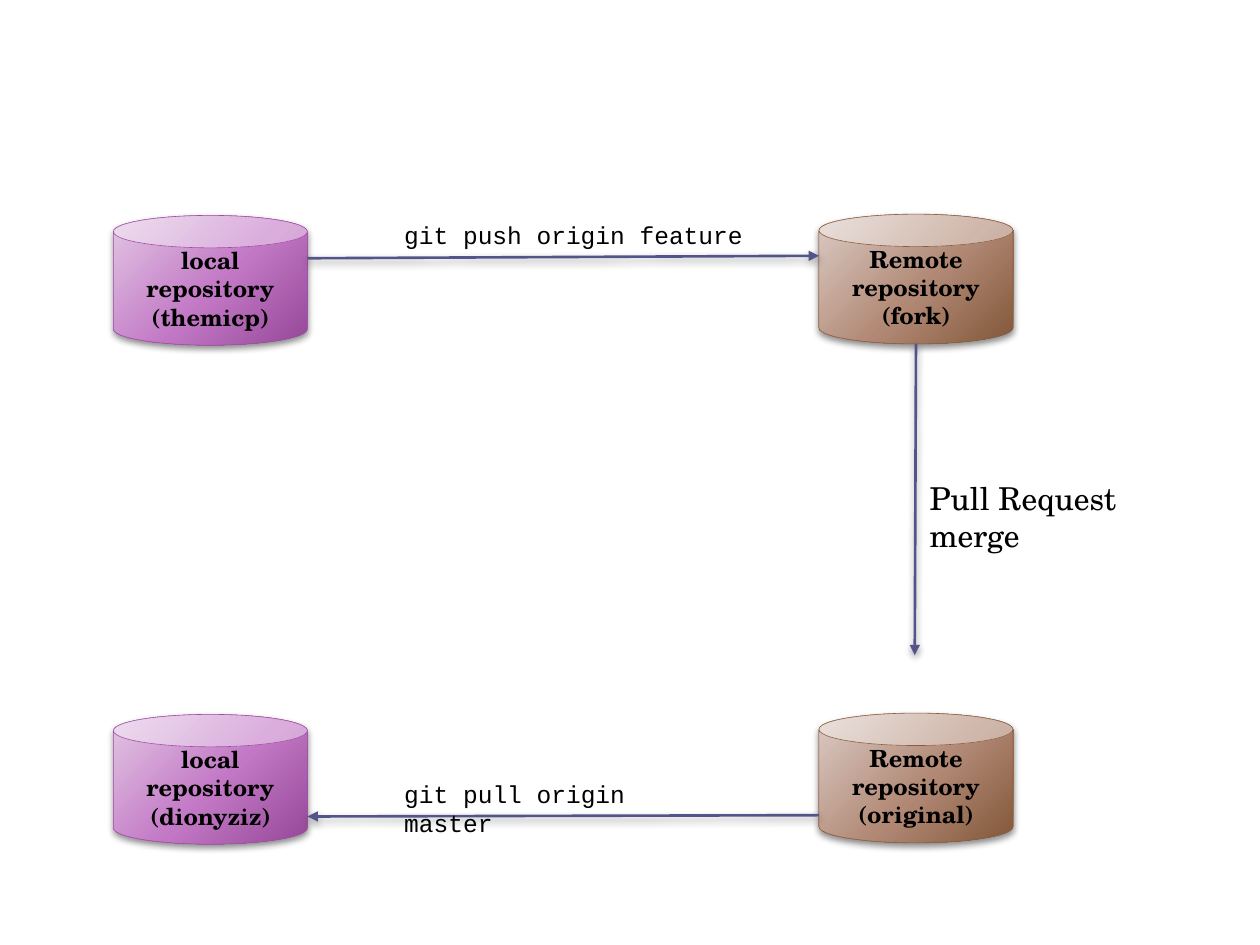
from dataclasses import dataclass

from lxml import etree
from pptx import Presentation
from pptx.dml.color import RGBColor
from pptx.enum.shapes import MSO_CONNECTOR, MSO_SHAPE
from pptx.enum.text import MSO_ANCHOR, PP_ALIGN
from pptx.oxml import parse_xml
from pptx.oxml.ns import nsdecls, qn
from pptx.util import Inches, Pt

CAN = MSO_SHAPE.CAN
STRAIGHT = MSO_CONNECTOR.STRAIGHT
CENTER, LEFT = PP_ALIGN.CENTER, PP_ALIGN.LEFT
MIDDLE, TOP = MSO_ANCHOR.MIDDLE, MSO_ANCHOR.TOP


@dataclass(frozen=True)
class Palette:
    gradient: tuple
    outline: str


@dataclass(frozen=True)
class Theme:
    local: Palette = Palette(("E2C6E3", "C277C5", "954898"), "A04DA3")
    remote: Palette = Palette(("DBCCC6", "B18874", "825739"), "8B5D3D")
    stops: tuple = (0, 55, 100)
    arrow: str = "53548A"
    text: str = "000000"
    serif: str = "TeX Gyre Schola"
    mono: str = "Courier New"
    repository_size: float = 13.5
    command_size: float = 14
    note_size: float = 18
    outline_width: float = 0.35
    arrow_width: float = 1.5


class Diagram:
    def __init__(self, slide, theme):
        self.slide = slide
        self.theme = theme

    def add_text(self, shape, lines, font_name, size, bold=False, align=LEFT, anchor=TOP):
        frame = shape.text_frame
        frame.word_wrap = True
        frame.vertical_anchor = anchor
        for index, line in enumerate(lines):
            paragraph = frame.add_paragraph() if index else frame.paragraphs[0]
            paragraph.alignment = align
            run = paragraph.add_run()
            run.text = line
            run.font.name = font_name
            run.font.size = Pt(size)
            run.font.bold = bold
            run.font.color.rgb = RGBColor.from_string(self.theme.text)

    def add_shadow(self, shape, opacity, blur):
        shape._element.spPr.append(parse_xml(
            f'<a:effectLst {nsdecls("a")}>'
            f'<a:outerShdw blurRad="{Pt(blur)}" dist="{Pt(2)}" dir="5400000" rotWithShape="0">'
            f'<a:srgbClr val="000000"><a:alpha val="{opacity * 1000}"/></a:srgbClr>'
            '</a:outerShdw></a:effectLst>'))

    def add_gradient(self, shape, colors):
        stops = "".join(
            f'<a:gs pos="{stop * 1000}"><a:srgbClr val="{color}"/></a:gs>'
            for stop, color in zip(self.theme.stops, colors))
        gradient = parse_xml(
            f'<a:gradFill {nsdecls("a")} rotWithShape="1"><a:gsLst>{stops}</a:gsLst>'
            '<a:path path="circle"><a:fillToRect l="100000" t="0" r="280000" b="280000"/>'
            '</a:path></a:gradFill>')
        shape._element.spPr.find(qn("a:prstGeom")).addnext(gradient)

    def add_repository(self, left, top, lines, palette):
        shape = self.slide.shapes.add_shape(
            CAN, Inches(left), Inches(top), Inches(1.54), Inches(1.03))
        self.add_gradient(shape, palette.gradient)
        shape.line.color.rgb = RGBColor.from_string(palette.outline)
        shape.line.width = Pt(self.theme.outline_width)
        self.add_shadow(shape, 45, 4)
        self.add_text(shape, lines, self.theme.serif, self.theme.repository_size,
                      bold=True, align=CENTER, anchor=MIDDLE)

    def add_arrow(self, start, end):
        connector = self.slide.shapes.add_connector(
            STRAIGHT, *(Inches(value) for value in start + end))
        connector.line.color.rgb = RGBColor.from_string(self.theme.arrow)
        connector.line.width = Pt(self.theme.arrow_width)
        line = connector._element.spPr.find(qn("a:ln"))
        etree.SubElement(line, qn("a:tailEnd"), type="triangle")
        self.add_shadow(connector, 40, 4.1)

    def add_label(self, left, top, width, height, text, font_name, size):
        box = self.slide.shapes.add_textbox(
            Inches(left), Inches(top), Inches(width), Inches(height))
        self.add_text(box, [text], font_name, size)


def main():
    presentation = Presentation()
    presentation.slide_width, presentation.slide_height = Inches(10), Inches(7.5)
    slide = presentation.slides.add_slide(presentation.slide_layouts[6])
    theme = Theme()
    diagram = Diagram(slide, theme)

    # Repositories: one row for the fork, one for the upstream project
    for top, owner, role in ((1.7, "themicp", "fork"), (5.66, "dionyziz", "original")):
        diagram.add_repository(
            0.9, top + 0.01, ["local", "repository", f"({owner})"], theme.local)
        diagram.add_repository(
            6.5, top, ["Remote repository", f"({role})"], theme.remote)

    # Push, pull and merge arrows
    diagram.add_arrow((2.44, 2.05), (6.5, 2.03))
    diagram.add_arrow((6.5, 6.47), (2.44, 6.48))
    diagram.add_arrow((7.27, 2.73), (7.26, 5.2))

    # Arrow labels
    diagram.add_label(3.11, 1.7, 3.17, 0.34, "git push origin feature",
                      theme.mono, theme.command_size)
    diagram.add_label(3.11, 6.13, 2.59, 0.34, "git pull origin master",
                      theme.mono, theme.command_size)
    diagram.add_label(7.28, 3.75, 2.18, 0.4, "Pull Request merge",
                      theme.serif, theme.note_size)

    presentation.save("out.pptx")


if __name__ == "__main__":
    main()
